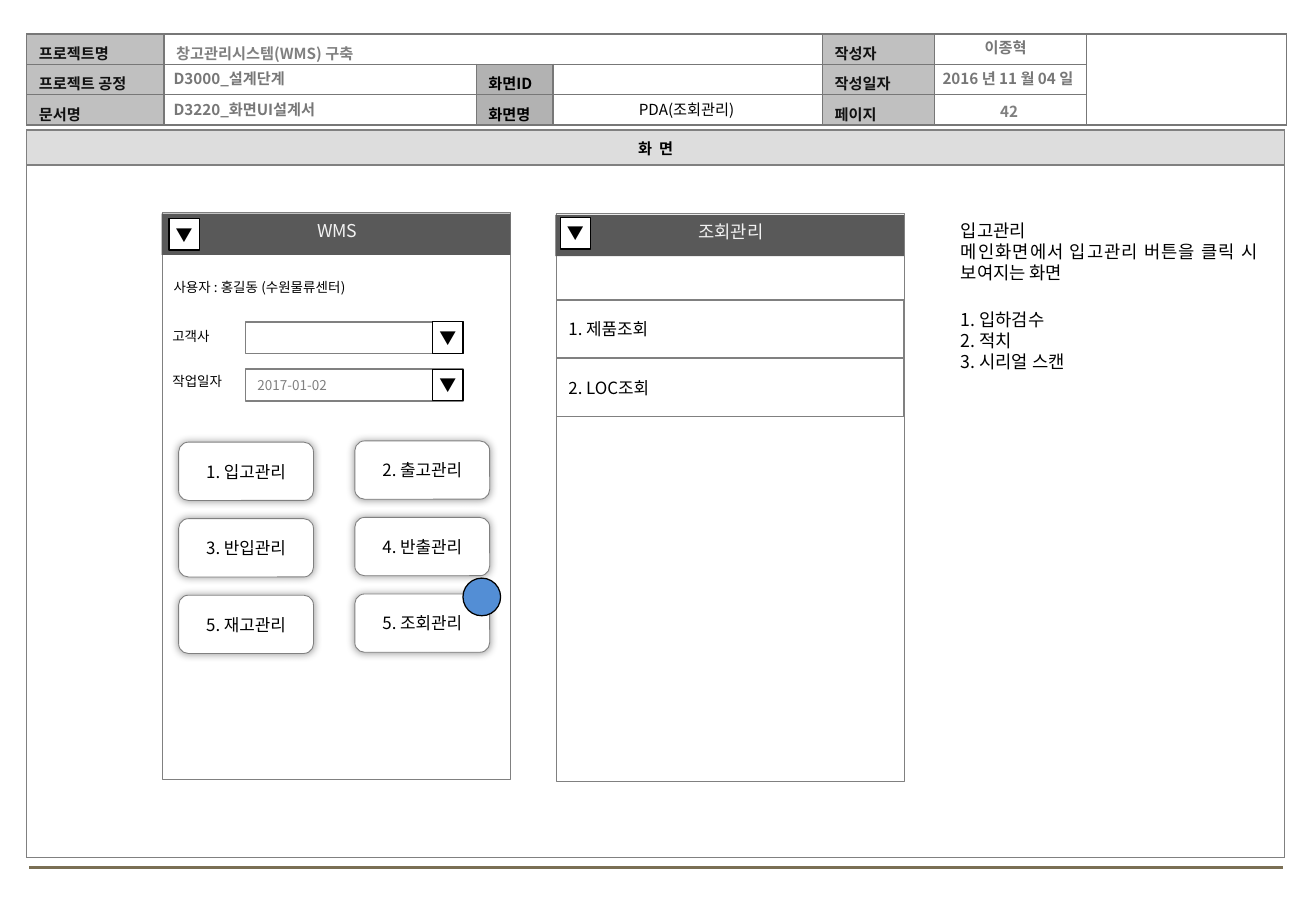
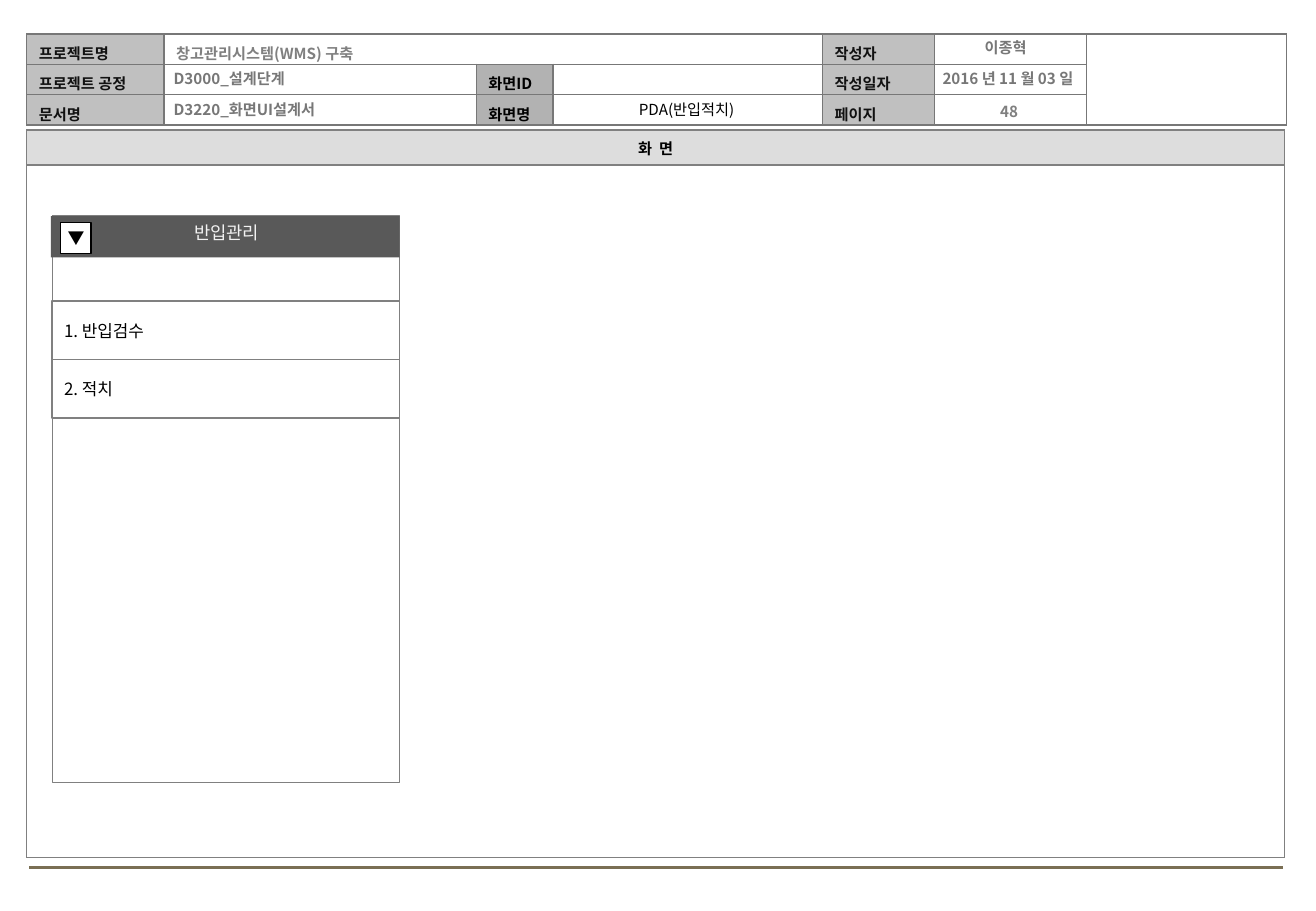
"""Builds two warehouse PDA screen design sheets with a shared header form."""
from lxml import etree
from pptx import Presentation
from pptx import util as u
from pptx.dml import color as dml
from pptx.enum import shapes, text
from pptx.oxml import ns

FONT = "Noto Sans CJK KR"
COLORS = {
    "black": "000000", "white": "FFFFFF", "label": "111111", "value": "777777",
    "number": "7F7F7F", "border": "808080", "label_fill": "C0C0C0",
    "screen_fill": "B2B2B2", "title_fill": "DDDDDD", "bar": "595959",
    "bar_text": "F2F2F2", "marker": "538ED5", "footer": "7A6F54",
}
RGB = {name: dml.RGBColor.from_string(value) for name, value in COLORS.items()}
ALIGN = text.PP_ALIGN
MIDDLE = text.MSO_ANCHOR.MIDDLE
SHAPE = shapes.MSO_SHAPE


def write(frame, content, size=10, color="black", bold=False, align=ALIGN.LEFT):
    """Fill a text frame, one paragraph per line, in one format."""
    for index, line in enumerate(content.split("\n")):
        para = frame.paragraphs[0] if index == 0 else frame.add_paragraph()
        para.alignment = align
        para._p.get_or_add_endParaRPr().set("sz", str(int(size * 100)))
        if line:
            span = para.add_run()
            span.text = line
            span.font.size = u.Pt(size)
            span.font.name = FONT
            span.font.bold = bold
            span.font.color.rgb = RGB[color]
            east_asian = etree.SubElement(span._r.get_or_add_rPr(), ns.qn("a:ea"))
            east_asian.set("typeface", FONT)


def draw(page, at, content="", kind=None, fill=None, line=None, width=1,
         wrap=True, margins=(0.1, 0.05), **style):
    """Add a text box, or a preset shape when a kind is given."""
    place = [u.Inches(value) for value in at]
    if kind is None:
        box = page.shapes.add_textbox(*place)
    else:
        box = page.shapes.add_shape(kind, *place)
        box.shadow.inherit = False
        box.text_frame.vertical_anchor = MIDDLE
        if fill:
            box.fill.solid()
            box.fill.fore_color.rgb = RGB[fill]
        else:
            box.fill.background()
        if line:
            box.line.color.rgb = RGB[line]
            box.line.width = u.Pt(width)
        else:
            box.line.fill.background()
    frame = box.text_frame
    frame.word_wrap = wrap
    frame.margin_left = frame.margin_right = u.Inches(margins[0])
    frame.margin_top = frame.margin_bottom = u.Inches(margins[1])
    write(frame, content, **style)
    return box


HEADER_LABELS = {
    (0, 0): "프로젝트명", (0, 1): "창고관리시스템(WMS) 구축", (0, 4): "작성자",
    (1, 0): "프로젝트 공정", (1, 2): "화면ID", (1, 4): "작성일자",
    (2, 0): "문서명", (2, 2): "화면명", (2, 4): "페이지",
}
LABEL_STYLE = {"size": 9, "color": "label", "bold": True}
FORMS = [
    {"at": (0.22, 0.28), "cols": [1.13, 2.57, 0.63, 2.22, 0.92, 1.25, 1.65],
     "rows": [0.25] * 3, "border": "value", "labels": HEADER_LABELS,
     "merges": [(0, 1, 0, 3), (0, 6, 2, 6)], "margins": (0.1, 0.06),
     "styles": {
         0: ("label_fill", LABEL_STYLE), 4: ("label_fill", LABEL_STYLE),
         1: (None, {**LABEL_STYLE, "color": "border"}),
         2: ("screen_fill", {**LABEL_STYLE, "color": "black"})}},
    {"at": (0.22, 1.07), "cols": [10.35], "rows": [0.29, 5.7],
     "border": "border", "labels": {(0, 0): "화  면"}, "merges": [],
     "margins": (0.02, 0),
     "styles": {0: ("title_fill", {"size": 9, "bold": True, "align": ALIGN.CENTER})}},
]
VALUE_STYLE = {"size": 9, "color": "value", "bold": True}
SHEETS = [
    {"number": "42", "name": "PDA(조회관리)", "date": "2016 년 11 월 04 일", "screens": [
        {"at": (4.58, 1.76), "title": "조회관리", "arrow": (0.03, 0.03),
         "items": ["1. 제품조회", "2. LOC조회"]},
        {"at": (1.34, 1.75), "title": "WMS", "arrow": (0.05, 0.05), "items": []}]},
    {"number": "48", "name": "PDA(반입적치)", "date": "2016 년 11 월 03 일", "screens": [
        {"at": (0.43, 1.77), "title": "반입관리", "arrow": (0.07, 0.06),
         "items": ["1. 반입검수", "2. 적치"]}]},
]
ARROW = {"content": "▼", "kind": SHAPE.RECTANGLE, "fill": "white", "line": "black",
         "width": 0.75, "wrap": False, "margins": (0.02, 0.04), "align": ALIGN.CENTER}

deck = Presentation()
deck.slide_width = u.Inches(10.83)
deck.slide_height = u.Inches(7.5)
pages = []

for sheet in SHEETS:
    page = deck.slides.add_slide(deck.slide_layouts[6])
    pages.append(page)

    footer = page.shapes.add_connector(
        shapes.MSO_CONNECTOR.STRAIGHT, u.Inches(0.24), u.Inches(7.14),
        u.Inches(10.56), u.Inches(7.14))
    footer.line.color.rgb = RGB["footer"]
    footer.line.width = u.Pt(1.75)
    etree.SubElement(footer._element.spPr, ns.qn("a:effectLst"))

    for form in FORMS:
        left, top = form["at"]
        table = page.shapes.add_table(
            len(form["rows"]), len(form["cols"]), u.Inches(left), u.Inches(top),
            u.Inches(sum(form["cols"])), u.Inches(sum(form["rows"]))).table
        table.first_row = table.horz_banding = False
        for column, width in zip(table.columns, form["cols"]):
            column.width = u.Inches(width)
        for row, height in zip(table.rows, form["rows"]):
            row.height = u.Inches(height)
        for row1, col1, row2, col2 in form["merges"]:
            table.cell(row1, col1).merge(table.cell(row2, col2))
        for row in range(len(form["rows"])):
            for col in range(len(form["cols"])):
                cell = table.cell(row, col)
                label = form["labels"].get((row, col), "")
                fill, style = form["styles"].get(col, (None, {"size": 9}))
                cell.vertical_anchor = MIDDLE
                cell.margin_left = cell.margin_right = u.Inches(form["margins"][0])
                cell.margin_top = u.Inches(form["margins"][1])
                cell.margin_bottom = 0
                write(cell.text_frame, label, **style)
                if label and fill:
                    cell.fill.solid()
                    cell.fill.fore_color.rgb = RGB[fill]
                else:
                    cell.fill.background()
                if cell.is_spanned:
                    continue
                cell_format = cell._tc.get_or_add_tcPr()
                for index, side in enumerate(("lnL", "lnR", "lnT", "lnB")):
                    edge = etree.Element(ns.qn(f"a:{side}"), w=str(u.Pt(1)))
                    solid = etree.SubElement(edge, ns.qn("a:solidFill"))
                    etree.SubElement(solid, ns.qn("a:srgbClr"), val=COLORS[form["border"]])
                    cell_format.insert(index, edge)

    draw(page, (1.33, 0.52, 5.42, 0.25), "D3000_설계단계", **VALUE_STYLE)
    draw(page, (1.33, 0.78, 5.42, 0.25), "D3220_화면UI설계서", **VALUE_STYLE)
    draw(page, (7.68, 0.79, 1.25, 0.25), sheet["number"], size=9, color="number",
         bold=True, align=ALIGN.CENTER)
    draw(page, (4.56, 0.78, 2.18, 0.25), sheet["name"], size=9, align=ALIGN.CENTER)
    draw(page, (7.51, 0.52, 1.57, 0.25), sheet["date"], align=ALIGN.CENTER, **VALUE_STYLE)
    draw(page, (7.49, 0.27, 1.57, 0.25), "이종혁", align=ALIGN.CENTER, **VALUE_STYLE)

    for screen in sheet["screens"]:
        x, y = screen["at"]
        dx, dy = screen["arrow"]
        draw(page, (x, y, 2.86, 4.67), kind=SHAPE.FLOWCHART_PROCESS, fill="white",
             line="border", width=0.5)
        draw(page, (x - 0.01, y + 0.01, 2.87, 0.34), kind=SHAPE.RECTANGLE, fill="bar")
        draw(page, (x + 0.01, y + 0.01, 2.85, 0.28), screen["title"], size=10.5,
             color="bar_text", align=ALIGN.CENTER)
        for index, item in enumerate(screen["items"]):
            draw(page, (x, y + 0.71 + 0.48 * index, 2.86, 0.48), item,
                 kind=SHAPE.RECTANGLE, line="border")
        draw(page, (x + dx, y + dy, 0.25, 0.26), **ARROW)

page = pages[0]
for at, label in [((1.33, 2.25, 1.8, 0.24), "사용자 : 홍길동 (수원물류센터)"),
                  ((1.32, 2.65, 0.54, 0.24), "고객사"),
                  ((1.32, 3.02, 0.65, 0.24), "작업일자")]:
    draw(page, at, label, size=8, wrap=False)
for y, entry in [(2.65, ""), (3.04, "2017-01-02")]:
    draw(page, (2.02, y, 1.79, 0.26), entry, kind=SHAPE.RECTANGLE, line="border",
         size=8, color="border")
    draw(page, (3.56, y, 0.25, 0.26), **ARROW)

MENU = ["1. 입고관리", "2. 출고관리", "3. 반입관리", "4. 반출관리", "5. 재고관리", "5. 조회관리"]
for index, label in enumerate(MENU):
    row, col = divmod(index, 2)
    button = draw(page, (1.47 + 1.45 * col, 3.64 + 0.63 * row - 0.01 * col, 1.11, 0.48),
                  label, kind=SHAPE.ROUNDED_RECTANGLE, fill="white", line="border",
                  width=0.5, align=ALIGN.CENTER)
    effects = button._element.spPr.find(ns.qn("a:effectLst"))
    shadow = etree.SubElement(effects, ns.qn("a:outerShdw"), blurRad=str(u.Pt(5)),
                              dist="0", dir="0", algn="ctr", rotWithShape="0")
    tint = etree.SubElement(shadow, ns.qn("a:srgbClr"), val=COLORS["black"])
    etree.SubElement(tint, ns.qn("a:alpha"), val="40000")
draw(page, (3.81, 4.76, 0.31, 0.31), kind=SHAPE.OVAL, fill="marker", line="black", width=0.75)

NOTE = """입고관리
메인화면에서 입고관리 버튼을 클릭 시 보여지는 화면
1. 입하검수
2. 적치
3. 시리얼 스캔"""
note = draw(page, (7.81, 1.76, 2.64, 1.34), NOTE, size=10.5, align=ALIGN.JUSTIFY)
note.text_frame.paragraphs[2].space_before = u.Pt(15)

deck.save("out.pptx")
